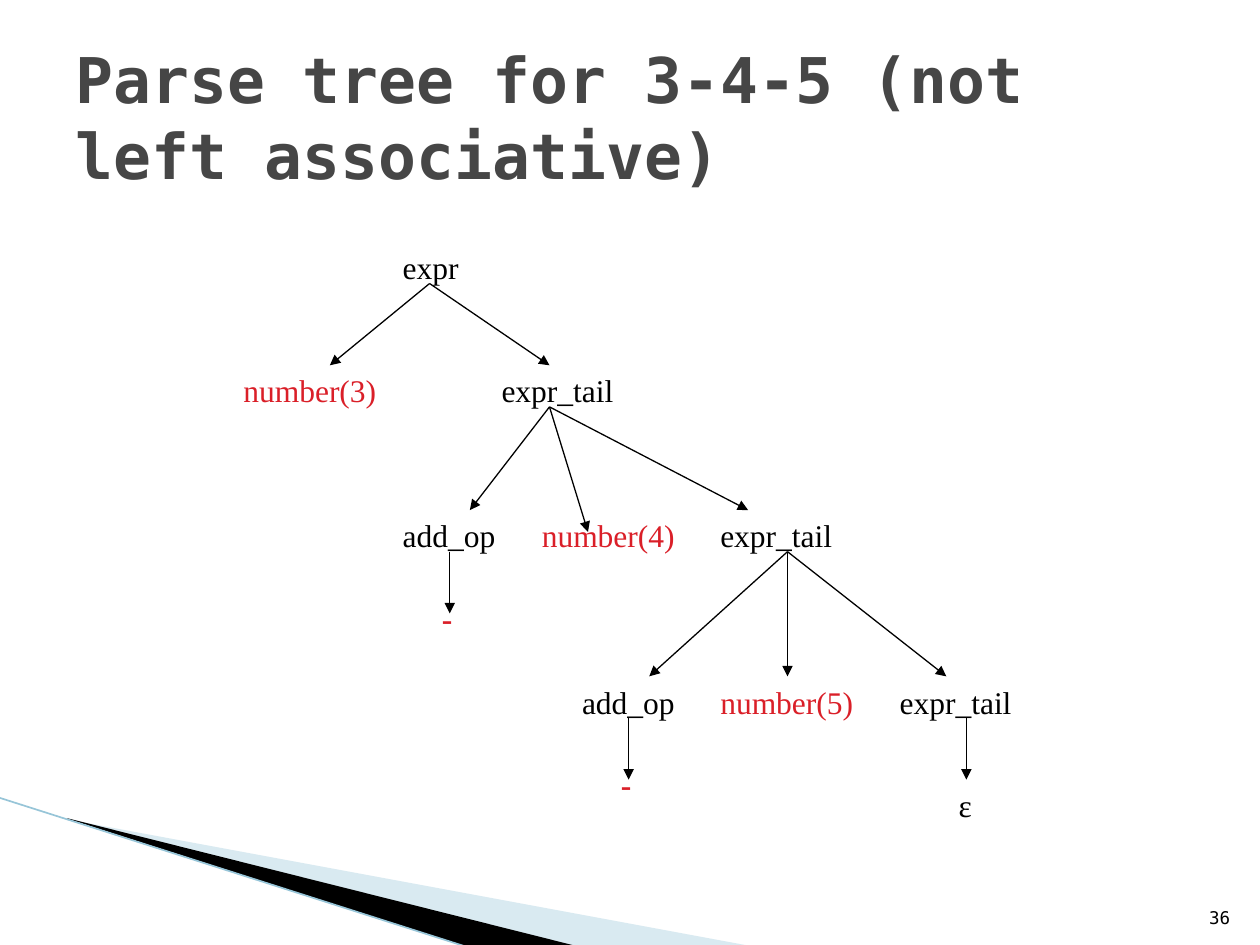
"""Build a slide with the parse tree for 3-4-5."""
from pptx import Presentation
from pptx.dml.color import RGBColor as Color
from pptx.enum.shapes import MSO_CONNECTOR as Link, MSO_SHAPE as Form
from pptx.enum.text import MSO_ANCHOR as Anchor, PP_ALIGN as Align
from pptx.oxml.ns import qn
from pptx.util import Pt
from lxml.etree import SubElement

BLACK = Color(0x00, 0x00, 0x00)
WHITE = Color(0xFF, 0xFF, 0xFF)
GREY = Color(0x46, 0x46, 0x46)
RED = Color(0xDA, 0x1F, 0x28)
PALE = Color(0xA0, 0xCB, 0xDC)
BLUE = Color(0x97, 0xC5, 0xD8)
MONO = "DejaVu Sans Mono"
SERIF = "Times New Roman"

ROWS = (138.25, 208.75, 291.5, 386.5)
DROP = 23.75
TALL = 35.25
WIDE = {"expr": 49.5, "expr_tail": 81.5, "add_op": 70.5, "number": 93}
NODES = (
    (("expr", 223),),
    (("number(3)", 132), ("expr_tail", 279.5)),
    (("add_op", 223), ("number(4)", 302.5), ("expr_tail", 404.5)),
    (("add_op", 325.5), ("number(5)", 404.5), ("expr_tail", 507)),
)
FANS = (
    (0, 245.5, ((188.5, ROWS[1]), (314, ROWS[1]))),
    (1, 314, ((268.5, ROWS[2]), (336, 304), (427.5, ROWS[2]))),
    (2, 450, ((371, ROWS[3]), (450, ROWS[3]), (540.75, ROWS[3]))),
    (2, 257, ((257, 350.5),)),
    (3, 359.25, ((359.25, 445.5),)),
    (3, 552.25, ((552.25, 445.5),)),
)
BANDS = (
    (PALE, 40, ((39.6, 468.5), (428.5, 540.5), (328.5, 540.5), (39.6, 468))),
    (BLACK, 100, ((38.2, 467.5), (329, 540.5), (268, 541.5), (39, 468))),
)


def write(frame, text, font=SERIF, size=18, color=BLACK, bold=False,
          align=Align.LEFT, anchor=Anchor.TOP, wrap=False):
    """Put formatted text into a frame."""
    frame.word_wrap = wrap
    frame.vertical_anchor = anchor
    par = frame.paragraphs[0]
    par.alignment = align
    run = par.add_run()
    run.text = text
    run.font.name = font
    run.font.size = Pt(size)
    run.font.bold = bold
    run.font.color.rgb = color


class Deck:
    """Hold the style and the current slide."""

    def __init__(self, wide=720, high=540):
        """Start a deck with one blank slide."""
        self.show = Presentation()
        self.show.slide_width, self.show.slide_height = Pt(wide), Pt(high)
        page = self.show.slides.add_slide(self.show.slide_layouts[6])
        self.shapes = page.shapes

    def band(self, color, alpha, points):
        """Draw a filled outline."""
        spots = [(Pt(x), Pt(y)) for x, y in points]
        pen = self.shapes.build_freeform(*spots[0])
        pen.add_line_segments(spots[1:])
        shape = pen.convert_to_shape()
        shape.shadow.inherit = False
        shape.fill.solid()
        shape.fill.fore_color.rgb = color
        shape.line.fill.background()
        if alpha < 100:
            tint = shape.fill._xPr.find(qn("a:solidFill"))[0]
            SubElement(tint, qn("a:alpha")).set("val", str(alpha * 1000))

    def label(self, text, box, **style):
        """Add a text box."""
        write(self.shapes.add_textbox(*map(Pt, box)).text_frame, text, **style)

    def node(self, text, box, **style):
        """Add a white tree node."""
        shape = self.shapes.add_shape(Form.RECTANGLE, *map(Pt, box))
        shape.shadow.inherit = False
        shape.fill.solid()
        shape.fill.fore_color.rgb = WHITE
        shape.line.fill.background()
        write(shape.text_frame, text, **style)

    def line(self, start, end, color=BLACK, width=0.75, head=True):
        """Add a line or an arrow."""
        wire = self.shapes.add_connector(
            Link.STRAIGHT, *map(Pt, (*start, *end)))
        wire.line.color.rgb = color
        wire.line.width = Pt(width)
        if head:
            SubElement(wire.line._ln, qn("a:tailEnd")).set("type", "triangle")
        SubElement(wire._element.spPr, qn("a:effectLst"))

    def save(self):
        """Write the file."""
        self.show.save("out.pptx")


def main():
    """Draw the backdrop, the texts and the tree."""
    deck = Deck()
    for band in BANDS:
        deck.band(*band)
    deck.line((-0.75, 455.75), (268, 541.5), BLUE, 0.95, head=False)
    deck.label("36", (681, 504.75, 29, 29), font=MONO, size=10,
               align=Align.RIGHT, anchor=Anchor.BOTTOM, wrap=True)
    deck.label("Parse tree for 3-4-5 (not left associative)",
               (36, 21.6, 648, 90), font=MONO, size=36, color=GREY,
               bold=True, anchor=Anchor.MIDDLE, wrap=True)
    for top, row in zip(ROWS, NODES):
        for text, left in row:
            kind = text.split("(")[0]
            color = RED if kind == "number" else BLACK
            deck.node(text, (left, top, WIDE[kind], TALL), color=color)
    deck.node("ε", (540.75, 445.5, 22.5, 29))
    for left, top in ((245.5, 339), (347.75, 433.5)):
        deck.node("-", (left, top, 23.75, 23.75), color=RED, bold=True)
    for row, left, ends in FANS:
        for end in ends:
            deck.line((left, ROWS[row] + DROP), end)
    deck.save()


if __name__ == "__main__":
    main()
